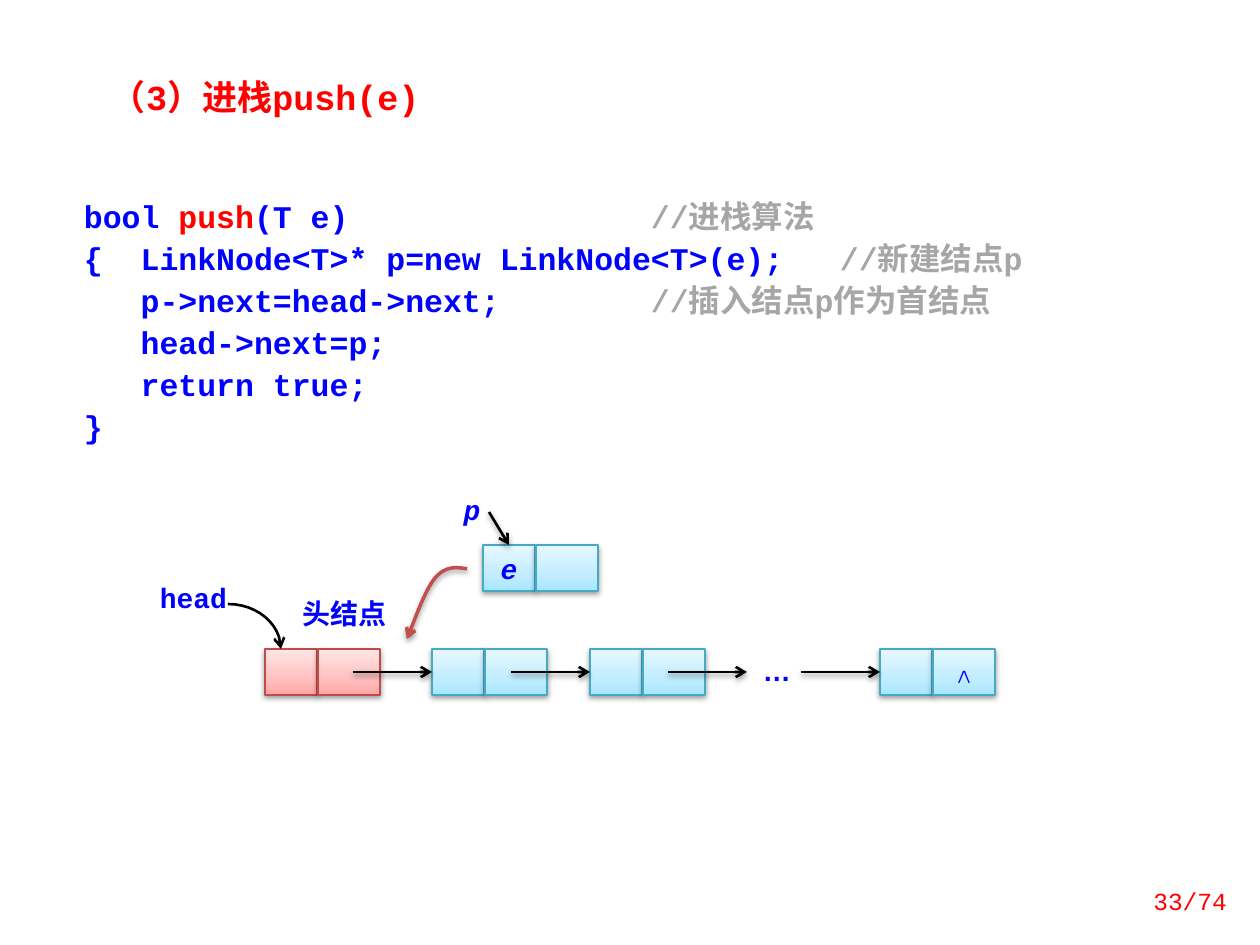
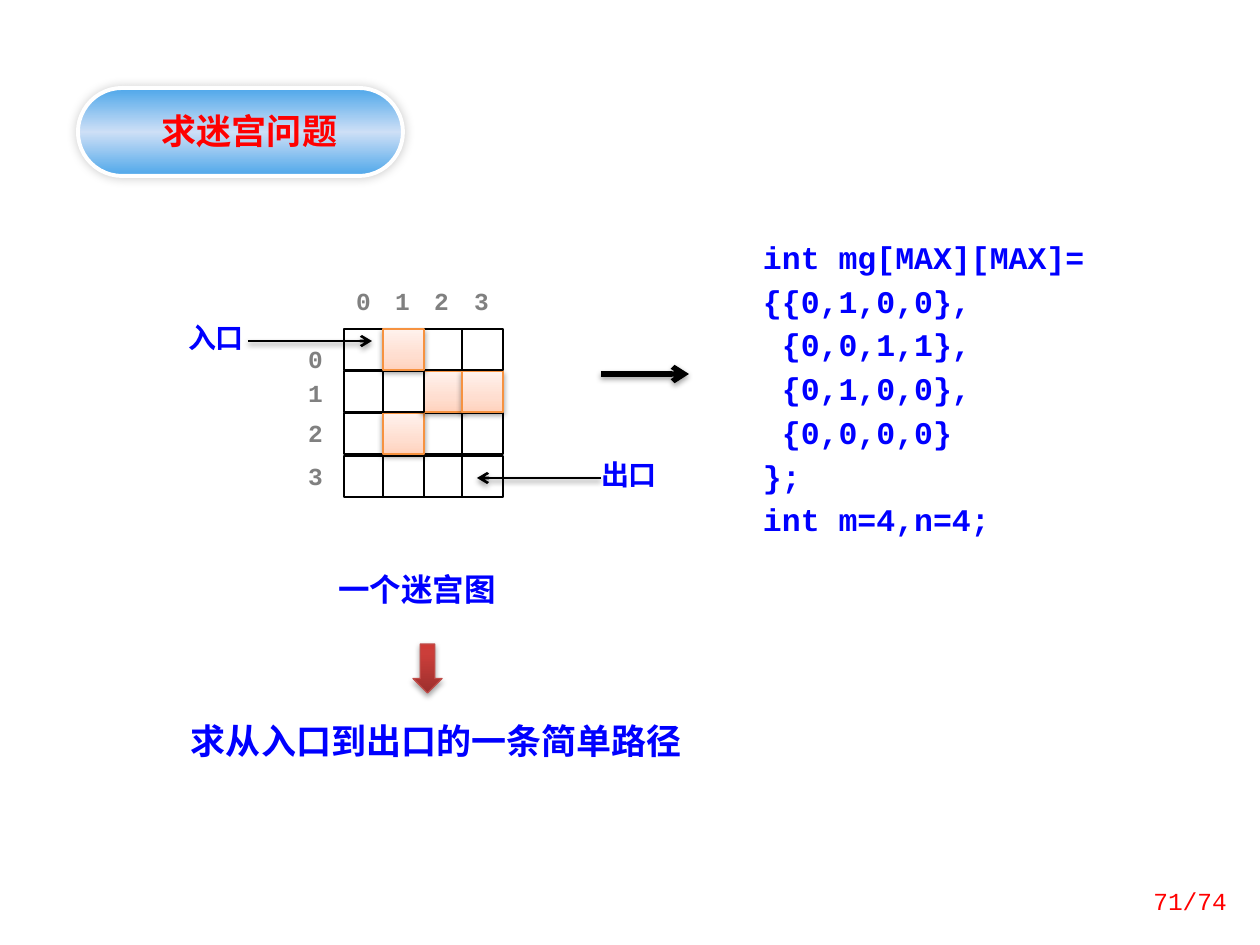
from dataclasses import dataclass, replace
from typing import NamedTuple, Optional, Sequence, Union

from lxml.etree import SubElement
from pptx import Presentation
from pptx.dml.color import RGBColor
from pptx.enum.shapes import MSO_CONNECTOR, MSO_SHAPE as SHAPE
from pptx.enum.text import MSO_ANCHOR as ANCHOR, PP_ALIGN as ALIGN
from pptx.oxml.ns import qn
from pptx.util import Emu, Pt

EMU_PER_PX = 914400 / 126
BLACK, WHITE, RED, BLUE = "000000", "FFFFFF", "FF0000", "0000FF"
GREY, COMMENT = "808080", "A6A6A6"
MONO, CJK = "Courier New", "Noto Sans CJK SC"


class Box(NamedTuple):
    x: int
    y: int
    w: int
    h: int


class Run(NamedTuple):
    text: str
    color: str


class Shadow(NamedTuple):
    alpha: int = 38
    blur: float = 3.15
    dist: float = 1.57
    angle: int = 90


@dataclass(frozen=True)
class Look:
    fill: Sequence[tuple[int, str]] = ()
    line: str = ""
    width: float = 0.75
    shadow: Optional[Shadow] = None


@dataclass(frozen=True)
class Style:
    size: int = 16
    color: str = BLUE
    font: str = MONO
    bold: bool = True
    italic: bool = False
    align: ALIGN = ALIGN.LEFT
    spacing: int = 0
    insets: tuple[int, int, int, int] = (13, 6, 13, 6)
    anchor: ANCHOR = ANCHOR.TOP


Line = Union[str, Sequence[Run]]

PLAIN = Look(((0, WHITE),))
CELL = Look(((0, WHITE),), BLACK, 1)
RED_NODE = Look(((0, "FFA6A5"), (35, "FFC0BF"), (100, "FFE7E7")), "BF4C48", shadow=Shadow())
BLUE_NODE = Look(((0, "A7E6FF"), (35, "C1EDFF"), (100, "E7F8FF")), "46AAC5", shadow=Shadow())
WALL = Look(((0, "FFD2BD"), (35, "FFDED0"), (100, "FFF2ED")), "F69240", shadow=Shadow())
DOWN = Look(((0, "9C2F2D"), (80, "CB3E3A"), (100, "CE3B37")), "BF4C48",
            shadow=Shadow(35, 3.15, 1.81))
PILL = Look(((0, "4EA7EA"), (50, "CDDFF6"), (100, "4EA7EA")), WHITE, 2.25,
            Shadow(20, 6, 0, 225))

TITLE = Style(20, RED)
LABEL = Style(align=ALIGN.CENTER, insets=(0, 0, 0, 0))
LABEL_CJK = replace(LABEL, font=CJK)
IN_CELL = replace(LABEL, spacing=23)
INDEX = replace(LABEL, size=14, color=GREY)
CODE = Style(18, spacing=24, insets=(25, 15, 13, 15))
PAGE = Style(14, RED, bold=False, align=ALIGN.RIGHT, anchor=ANCHOR.MIDDLE)

CELL_W, LINK_W, NODE_H, LINK_DX, ARROW_LEN = 52, 62, 46, 53, 79
LIST_Y = 649

PUSH_CODE: list[Line] = [
    [Run("bool ", BLUE), Run("push", RED), Run("(T e)\t\t\t\t\t", BLUE), Run("//进栈算法", COMMENT)],
    [Run("{  LinkNode<T>* p=new LinkNode<T>(e);\t", BLUE), Run("//新建结点p", COMMENT)],
    [Run("   p->next=head->next;\t\t\t", BLUE), Run("//插入结点p作为首结点", COMMENT)],
    "   head->next=p;",
    "   return true;",
    "}",
]
MAZE_CODE: list[Line] = [
    "int mg[MAX][MAX]=",
    "{{0,1,0,0},",
    " {0,0,1,1},",
    " {0,1,0,0},",
    " {0,0,0,0}",
    "};",
    "int m=4,n=4;",
]
MAZE = ("0100", "0011", "0100", "0000")
MAZE_X = [344 + 118 * i // 3 for i in range(4)]
MAZE_Y = [329 + 127 * i // 3 for i in range(4)]
ROW_LABEL_Y = (344, 378, 418, 461)
MAZE_CELL = 41


def px(n: float) -> Emu:
    return Emu(round(n * EMU_PER_PX))


def rgb(color: str) -> RGBColor:
    return RGBColor.from_string(color)


def set_shadow(sp, shadow: Optional[Shadow]) -> None:
    sp_pr = sp._element.spPr
    effects = sp_pr.find(qn("a:effectLst"))
    if effects is None:
        effects = SubElement(sp_pr, qn("a:effectLst"))
    if shadow:
        outer = SubElement(effects, qn("a:outerShdw"), blurRad=str(Pt(shadow.blur)),
                           dist=str(Pt(shadow.dist)), dir=str(shadow.angle * 60000),
                           algn="ctr", rotWithShape="0")
        clr = SubElement(outer, qn("a:srgbClr"), val=BLACK)
        SubElement(clr, qn("a:alpha"), val=str(shadow.alpha * 1000))


def set_fill(sp, stops: Sequence[tuple[int, str]]) -> None:
    if len(stops) == 1:
        sp.fill.solid()
        sp.fill.fore_color.rgb = rgb(stops[0][1])
        return
    sp.fill.gradient()
    sp.fill.gradient_angle = 90
    gs_list = sp._element.spPr.find(".//" + qn("a:gsLst"))
    for gs in list(gs_list):
        gs_list.remove(gs)
    for pos, color in stops:
        gs = SubElement(gs_list, qn("a:gs"), pos=str(pos * 1000))
        SubElement(gs, qn("a:srgbClr"), val=color)


def set_arrow(sp, color: str, width: float) -> None:
    sp.line.color.rgb = rgb(color)
    sp.line.width = Pt(width)
    SubElement(sp.line._get_or_add_ln(), qn("a:tailEnd"), type="arrow")


def write(sp, lines: Sequence[Line], style: Style) -> None:
    tf = sp.text_frame
    tf.word_wrap = True
    tf.vertical_anchor = style.anchor
    tf.margin_left, tf.margin_top, tf.margin_right, tf.margin_bottom = map(px, style.insets)
    for i, line in enumerate(lines):
        p = tf.add_paragraph() if i else tf.paragraphs[0]
        p.alignment = style.align
        if style.spacing:
            p.line_spacing = Pt(style.spacing)
        f = p.font
        f.name, f.size, f.bold, f.italic = style.font, Pt(style.size), style.bold, style.italic
        f.color.rgb = rgb(style.color)
        if isinstance(line, str):
            p.add_run().text = line
            continue
        for part in line:
            r = p.add_run()
            r.text = part.text
            r.font.color.rgb = rgb(part.color)


def add_text(slide, box: Box, text: str, style: Style):
    sp = slide.shapes.add_textbox(*map(px, box))
    write(sp, [text], style)
    return sp


def add_box(slide, box: Box, look: Look = PLAIN, lines: Sequence[Line] = (),
            style: Style = LABEL, kind: SHAPE = SHAPE.RECTANGLE):
    sp = slide.shapes.add_shape(kind, *map(px, box))
    set_fill(sp, look.fill)
    if look.line:
        sp.line.color.rgb = rgb(look.line)
        sp.line.width = Pt(look.width)
    else:
        sp.line.fill.background()
    sp.shadow.inherit = False
    set_shadow(sp, look.shadow)
    if lines:
        write(sp, lines, style)
    return sp


def add_arrow(slide, x1: int, y1: int, x2: int, y2: int, width: float = 1.5,
              target=None, side: int = 1) -> None:
    sp = slide.shapes.add_connector(MSO_CONNECTOR.STRAIGHT, *map(px, (x1, y1, x2, y2)))
    set_arrow(sp, BLACK, width)
    set_shadow(sp, Shadow())
    if target is not None:
        sp.end_connect(target, side)


def add_curve(slide, knots: Sequence[tuple[int, int]], color: str, width: float,
              shadow: Optional[Shadow] = None, steps: int = 12) -> None:
    points = []
    for k in range(0, len(knots) - 1, 3):
        a, b, c, d = knots[k:k + 4]
        for n in range(1, steps + 1):
            t = n / steps
            u = 1 - t
            points.append(tuple(
                u**3 * a[i] + 3 * u * u * t * b[i] + 3 * u * t * t * c[i] + t**3 * d[i]
                for i in (0, 1)))
    x, y = knots[0]
    builder = slide.shapes.build_freeform(px(x), px(y))
    builder.add_line_segments([(px(a), px(b)) for a, b in points], close=False)
    sp = builder.convert_to_shape()
    sp.fill.background()
    set_arrow(sp, color, width)
    sp.shadow.inherit = False
    set_shadow(sp, shadow)


def add_node(slide, x: int, y: int, look: Look, data: str = "", link: str = "",
             style: Style = IN_CELL):
    cell = add_box(slide, Box(x, y, CELL_W, NODE_H), look, [data] if data else [], style)
    add_box(slide, Box(x + LINK_DX, y, LINK_W, NODE_H), look, [link] if link else [], style)
    return cell


def new_slide(prs, page: str):
    slide = prs.slides.add_slide(prs.slide_layouts[6])
    add_text(slide, Box(1116, 876, 124, 50), page, PAGE)
    return slide


def push_slide(prs) -> None:
    slide = new_slide(prs, "33/74")
    italic = replace(IN_CELL, italic=True)
    add_text(slide, Box(98, 69, 364, 55), "（3）进栈push(e)", TITLE)
    add_box(slide, Box(59, 178, 1162, 282), PLAIN, PUSH_CODE, CODE)
    add_box(slide, Box(746, 654, 62, 45), PLAIN, ["…"], replace(LABEL, font="Arial"))
    add_box(slide, Box(155, 581, 77, 47), PLAIN, ["head"])
    add_box(slide, Box(292, 597, 105, 45), PLAIN, ["头结点"])
    add_box(slide, Box(454, 493, 36, 45), PLAIN, ["p"], replace(LABEL, italic=True))

    add_node(slide, 265, LIST_Y, RED_NODE)
    cells = [add_node(slide, x, LIST_Y, BLUE_NODE, link=link)
             for x, link in ((432, ""), (590, ""), (880, "∧"))]
    new_cell = add_node(slide, 483, 545, BLUE_NODE, "e", style=italic)

    mid = LIST_Y + NODE_H // 2
    for x, target in zip((432, 590, 880, 747), cells + [None]):
        add_arrow(slide, x - ARROW_LEN, mid, x, mid, target=target)
    add_arrow(slide, 489, 512, 509, 545, target=new_cell, side=0)
    add_curve(slide, [(228, 604), (257, 604), (281, 624), (281, 649)], BLACK, 1.5)
    add_curve(slide, [(467, 569), (457, 567), (446, 566), (436, 577),
                      (426, 588), (417, 614), (407, 639)], "C0504D", 2, Shadow())


def maze_slide(prs) -> None:
    slide = new_slide(prs, "71/74")
    for row in reversed(range(4)):
        for col in (0, 2, 1, 3):
            look = WALL if MAZE[row][col] == "1" else CELL
            add_box(slide, Box(MAZE_X[col], MAZE_Y[row], MAZE_CELL, MAZE_CELL), look)
    for i in reversed(range(4)):
        add_box(slide, Box(MAZE_X[i] - 1, 286, MAZE_CELL, MAZE_CELL), PLAIN, [str(i)], INDEX)
        add_box(slide, Box(295, ROW_LABEL_Y[i], MAZE_CELL, MAZE_CELL), PLAIN, [str(i)], INDEX)

    add_box(slide, Box(591, 457, 76, 41), PLAIN, ["出口"], LABEL_CJK)
    add_box(slide, Box(178, 321, 76, 41), PLAIN, ["入口"], LABEL_CJK)
    add_arrow(slide, 248, 341, 372, 341)
    add_arrow(slide, 601, 478, 477, 478)
    add_text(slide, Box(325, 564, 207, 50), "一个迷宫图", Style(18, font=CJK))
    add_box(slide, Box(413, 644, 29, 49), DOWN, kind=SHAPE.DOWN_ARROW)
    add_text(slide, Box(178, 713, 532, 55), "求从入口到出口的一条简单路径", Style(20))
    add_box(slide, Box(738, 217, 384, 339), PLAIN, MAZE_CODE,
            replace(CODE, spacing=25, insets=(25, 15, 25, 15)))
    add_arrow(slide, 601, 374, 689, 374, 3)

    pill = add_box(slide, Box(78, 88, 325, 88), PILL, kind=SHAPE.ROUNDED_RECTANGLE)
    pill.adjustments[0] = 0.5
    add_text(slide, Box(107, 103, 285, 55), "求迷宫问题",
             replace(TITLE, font=CJK, align=ALIGN.CENTER))


def main() -> None:
    prs = Presentation()
    prs.slide_width, prs.slide_height = px(1260), px(945)
    push_slide(prs)
    maze_slide(prs)
    prs.save("out.pptx")


if __name__ == "__main__":
    main()
